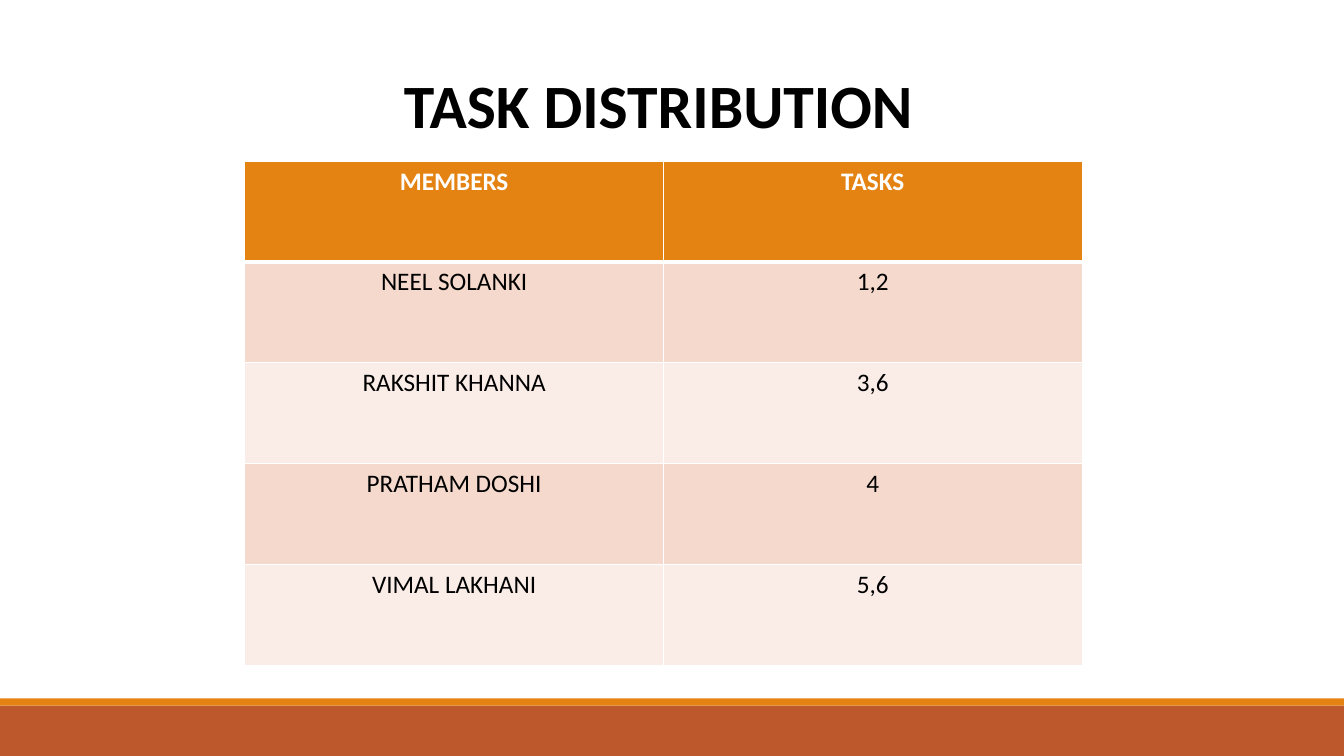
from dataclasses import dataclass

from lxml import etree
from pptx import Presentation
from pptx.dml.color import RGBColor
from pptx.enum.shapes import MSO_SHAPE
from pptx.enum.text import MSO_AUTO_SIZE, PP_ALIGN
from pptx.oxml.ns import qn
from pptx.util import Cm, Pt

RECTANGLE = MSO_SHAPE.RECTANGLE
CENTER = PP_ALIGN.CENTER
FIT_SHAPE = MSO_AUTO_SIZE.SHAPE_TO_FIT_TEXT


@dataclass(frozen=True)
class Theme:
    font: str = "Calibri"
    orange: str = "E48312"
    rust: str = "BD582C"
    bands: tuple = ("F5D9CC", "FAEDE7")
    white: str = "FFFFFF"
    black: str = "000000"
    title_size: int = 44
    table_size: int = 18
    thin_border: int = 1
    header_border: int = 3


class SlideBuilder:
    def __init__(self, slide, theme):
        self.slide = slide
        self.theme = theme

    def style(self, paragraph, size, color, bold=False):
        font = paragraph.font
        font.name = self.theme.font
        font.size = Pt(size)
        font.bold = bold
        font.color.rgb = RGBColor.from_string(color)

    def bar(self, left, top, width, height, color):
        shape = self.slide.shapes.add_shape(
            RECTANGLE, Cm(left), Cm(top), Cm(width), Cm(height))
        shape.shadow.inherit = False
        shape.fill.solid()
        shape.fill.fore_color.rgb = RGBColor.from_string(color)
        shape.line.fill.background()

    def title(self, left, top, width, height, text):
        box = self.slide.shapes.add_textbox(
            Cm(left), Cm(top), Cm(width), Cm(height))
        frame = box.text_frame
        frame.word_wrap = True
        frame.auto_size = FIT_SHAPE
        frame.text = text
        self.style(frame.paragraphs[0], self.theme.title_size,
                   self.theme.black, bold=True)

    def border(self, cell, side, points):
        properties = cell._tc.get_or_add_tcPr()
        line = etree.SubElement(properties, qn(f"a:ln{side}"), w=str(Pt(points)))
        fill = etree.SubElement(line, qn("a:solidFill"))
        etree.SubElement(fill, qn("a:srgbClr"), val=self.theme.white)

    def cell(self, cell, text, row):
        theme = self.theme
        header = row == 0
        # Borders come before the fill; the header rule is heavier
        widths = {"L": theme.thin_border, "R": theme.thin_border,
                  "T": theme.header_border if row == 1 else theme.thin_border,
                  "B": theme.header_border if header else theme.thin_border}
        for side, points in widths.items():
            self.border(cell, side, points)
        color = theme.orange if header else theme.bands[(row - 1) % 2]
        cell.fill.solid()
        cell.fill.fore_color.rgb = RGBColor.from_string(color)
        cell.text = text
        paragraph = cell.text_frame.paragraphs[0]
        paragraph.alignment = CENTER
        self.style(paragraph, theme.table_size,
                   theme.white if header else theme.black, bold=header)

    def table(self, left, top, width, height, rows):
        table = self.slide.shapes.add_table(
            len(rows), len(rows[0]),
            Cm(left), Cm(top), Cm(width), Cm(height)).table
        table.horz_banding = False
        for row, texts in enumerate(rows):
            for column, text in enumerate(texts):
                self.cell(table.cell(row, column), text, row)


def main():
    theme = Theme()
    presentation = Presentation()
    presentation.slide_width = Cm(33.87)
    presentation.slide_height = Cm(19.05)
    slide = presentation.slides.add_slide(presentation.slide_layouts[6])
    builder = SlideBuilder(slide, theme)

    # Footer bars
    builder.bar(0, 17.78, 33.87, 1.27, theme.rust)
    builder.bar(0, 17.6, 33.87, 0.18, theme.orange)

    # Members and their tasks
    builder.table(6.17, 4.06, 21.1, 12.7, [
        ("MEMBERS", "TASKS"),
        ("NEEL SOLANKI", "1,2"),
        ("RAKSHIT KHANNA", "3,6"),
        ("PRATHAM DOSHI", "4"),
        ("VIMAL LAKHANI", "5,6"),
    ])

    # Heading
    builder.title(9.93, 1.55, 15.11, 2.13, "TASK DISTRIBUTION")

    presentation.save("out.pptx")


if __name__ == "__main__":
    main()
